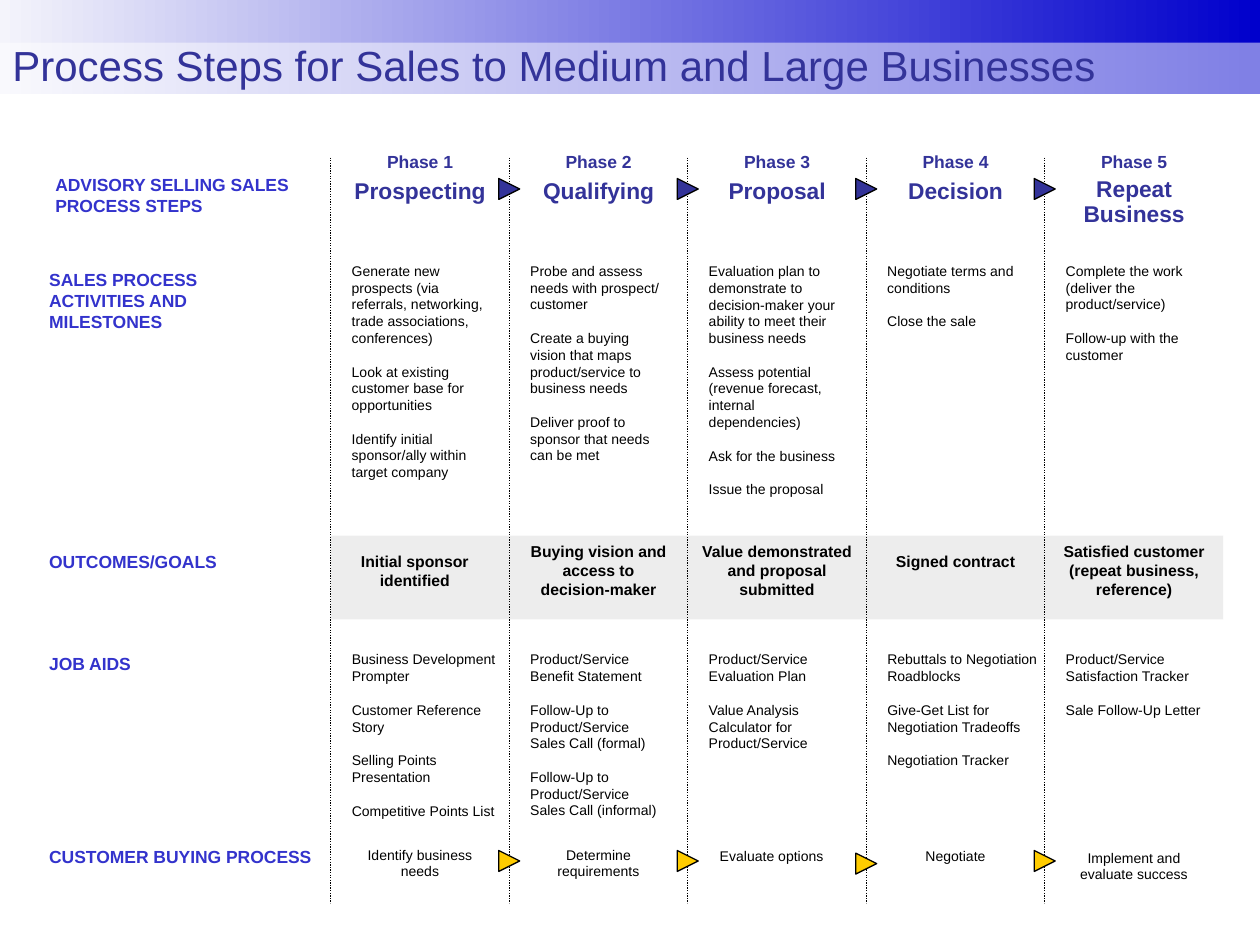
"""Build the sales process slide: five phases across, five process rows down."""
from lxml.etree import SubElement
from pptx import Presentation
from pptx.dml.color import RGBColor
from pptx.enum.dml import MSO_LINE
from pptx.enum.shapes import MSO_CONNECTOR, MSO_SHAPE
from pptx.enum.text import MSO_ANCHOR, MSO_AUTO_SIZE, PP_ALIGN
from pptx.oxml.ns import qn
from pptx.util import Pt

COLORS = {
    "navy": "333399", "label": "3333CC", "black": "000000", "white": "FFFFFF",
    "band": "DDDDDD", "gold": "FFCC00", "pale": "F4F4FB", "royal": "0000CC",
}
FIRST_LEFT, STEP = 189, 102

deck = Presentation()
deck.slide_width, deck.slide_height = Pt(720), Pt(540)
page = deck.slides.add_slide(deck.slide_layouts[6])


def add_rectangle(left, top, width, height, color, alpha=None):
    box = page.shapes.add_shape(MSO_SHAPE.RECTANGLE, Pt(left), Pt(top), Pt(width), Pt(height))
    box.shadow.inherit = False
    box.line.fill.background()
    box.fill.solid()
    box.fill.fore_color.rgb = RGBColor.from_string(COLORS[color])
    if alpha:
        tint = box.fill._xPr.find(qn("a:solidFill"))[0]
        SubElement(tint, qn("a:alpha")).set("val", str(alpha * 1000))
    return box


def write(box, text, size, color, bold=False, align=PP_ALIGN.LEFT, anchor=MSO_ANCHOR.TOP,
          spacing=None, gap=0, inset=True, grow=True):
    frame = box.text_frame
    frame.text = text
    frame.word_wrap = True
    frame.auto_size = MSO_AUTO_SIZE.SHAPE_TO_FIT_TEXT if grow else MSO_AUTO_SIZE.NONE
    frame.vertical_anchor = anchor
    frame.margin_left = frame.margin_right = Pt(7.2 if inset else 0)
    frame.margin_top = frame.margin_bottom = Pt(3.6 if inset else 0)
    for index, para in enumerate(frame.paragraphs):
        para.alignment = align
        if spacing:
            para.line_spacing = spacing
        if index and gap:
            para.space_before = Pt(gap)
        for span in para.runs:
            span.font.name = "Arial"
            span.font.size = Pt(size)
            span.font.bold = bold
            span.font.color.rgb = RGBColor.from_string(COLORS[color])


banner = add_rectangle(0, 0, 720, 54, "pale")
banner.fill.gradient()
banner.fill.gradient_angle = 0
for stop, color, position in zip(banner.fill.gradient_stops, ("pale", "royal"), (0, 1)):
    stop.color.rgb = RGBColor.from_string(COLORS[color])
    stop.position = position
title = add_rectangle(0, 24.4, 720, 30, "white", 50)
write(title, "Process Steps for Sales to Medium and Large Businesses", 24, "navy", spacing=0.8)
add_rectangle(FIRST_LEFT, 306, 5 * STEP, 48, "band", 50)

row_labels = [
    (24.5, 96, 156, 31, "ADVISORY SELLING SALES PROCESS STEPS", None),
    (21, 150, 156, 43, "SALES PROCESS ACTIVITIES AND MILESTONES", None),
    (21, 311, 156, 19.4, "OUTCOMES/GOALS", None),
    (21, 372, 156, 16.6, "JOB AIDS", 0.8),
    (21, 482.4, 165, 16.6, "CUSTOMER BUYING PROCESS", 0.8),
]
for left, top, width, height, text, spacing in row_labels:
    box = page.shapes.add_textbox(Pt(left), Pt(top), Pt(width), Pt(height))
    write(box, text, 10, "label", True, anchor=MSO_ANCHOR.MIDDLE, spacing=spacing)

headings = [("Prospecting", 90), ("Qualifying", 90), ("Proposal", 90), ("Decision", 90),
            ("Repeat Business", 96)]
activities = [
    (127, "Generate new prospects (via referrals, networking, trade associations, conferences)\n"
          "Look at existing customer base for opportunities\n"
          "Identify initial sponsor/ally within target company"),
    (115, "Probe and assess needs with prospect/ customer\n"
          "Create a buying vision that maps product/service to business needs\n"
          "Deliver proof to sponsor that needs can be met"),
    (135, "Evaluation plan to demonstrate to decision-maker your ability to meet their "
          "business needs\n"
          "Assess potential (revenue forecast, internal dependencies)\n"
          "Ask for the business\nIssue the proposal"),
    (38, "Negotiate terms and conditions\nClose the sale"),
    (58, "Complete the work (deliver the product/service)\nFollow-up with the customer"),
]
outcomes = [
    (312, 96, 29, "Initial sponsor identified"),
    (306, 102, 40, "Buying vision and access to\ndecision-maker"),
    (306, 102, 40, "Value demonstrated and proposal submitted"),
    (312, 102, 18, "Signed contract"),
    (306, 102, 40, "Satisfied customer (repeat business, reference)"),
]
job_aids = [
    (87, 96, "Business Development Prompter\nCustomer Reference Story\n"
             "Selling Points Presentation\nCompetitive Points List"),
    (78, 96, "Product/Service Benefit Statement\n"
             "Follow-Up to Product/Service Sales Call (formal)\n"
             "Follow-Up to Product/Service Sales Call (informal)"),
    (78, 58, "Product/Service Evaluation Plan\nValue Analysis Calculator for Product/Service"),
    (87, 67, "Rebuttals to Negotiation Roadblocks\n"
             "Give-Get List for Negotiation Tradeoffs\nNegotiation Tracker"),
    (78, 38, "Product/Service Satisfaction Tracker\nSale Follow-Up Letter"),
]
buying_steps = [
    (6, 480, 26.6, "Identify business needs"),
    (6, 480, 26.6, "Determine requirements"),
    (3, 481, 16.6, "Evaluate options"),
    (6, 481, 16.6, "Negotiate"),
    (6, 481.7, 26.6, "Implement and evaluate success"),
]

for column in range(5):
    left = FIRST_LEFT + column * STEP
    divider = page.shapes.add_connector(MSO_CONNECTOR.STRAIGHT, Pt(left), Pt(90), Pt(left), Pt(516))
    divider.line.color.rgb = RGBColor.from_string(COLORS["black"])
    divider.line.width = Pt(0.75)
    divider.line.dash_style = MSO_LINE.ROUND_DOT
    SubElement(divider._element.spPr, qn("a:effectLst"))

    heading, heading_top = headings[column]
    activity_height, activity = activities[column]
    outcome_top, outcome_width, outcome_height, outcome = outcomes[column]
    aid_width, aid_height, aid = job_aids[column]
    step_shift, step_top, step_height, step = buying_steps[column]
    centred = {"align": PP_ALIGN.CENTER}
    header = {"bold": True, "anchor": MSO_ANCHOR.MIDDLE, "spacing": 0.9,
              "inset": False, "grow": False, **centred}
    listing = {"inset": False, "gap": 9.6}
    cells = [
        (3, 84, 96, 18, f"Phase {column + 1}", 10, "navy", header),
        (3, heading_top, 96, 39.6, heading, 13, "navy", header),
        (12, 150, 78, activity_height, activity, 8, "black", listing),
        (0, outcome_top, outcome_width, outcome_height, outcome, 9, "black",
         {"bold": True, **centred}),
        (12, 372, aid_width, aid_height, aid, 8, "black", listing),
        (step_shift, step_top, 90, step_height, step, 8, "black", centred),
    ]
    for shift, top, width, height, text, size, color, style in cells:
        box = page.shapes.add_textbox(Pt(left + shift), Pt(top), Pt(width), Pt(height))
        write(box, text, size, color, **style)

    if column:
        buying_top = 487.5 if column == 3 else 486
        for top, color in ((102, "navy"), (buying_top, "gold")):
            outline = page.shapes.build_freeform(Pt(left - 6), Pt(top))
            outline.add_line_segments(
                [(Pt(left - 6), Pt(top + 12)), (Pt(left + 6), Pt(top + 6))], close=True)
            arrow = outline.convert_to_shape()
            arrow.shadow.inherit = False
            arrow.fill.solid()
            arrow.fill.fore_color.rgb = RGBColor.from_string(COLORS[color])
            arrow.line.color.rgb = RGBColor.from_string(COLORS["black"])
            arrow.line.width = Pt(0.75)

deck.save("out.pptx")
